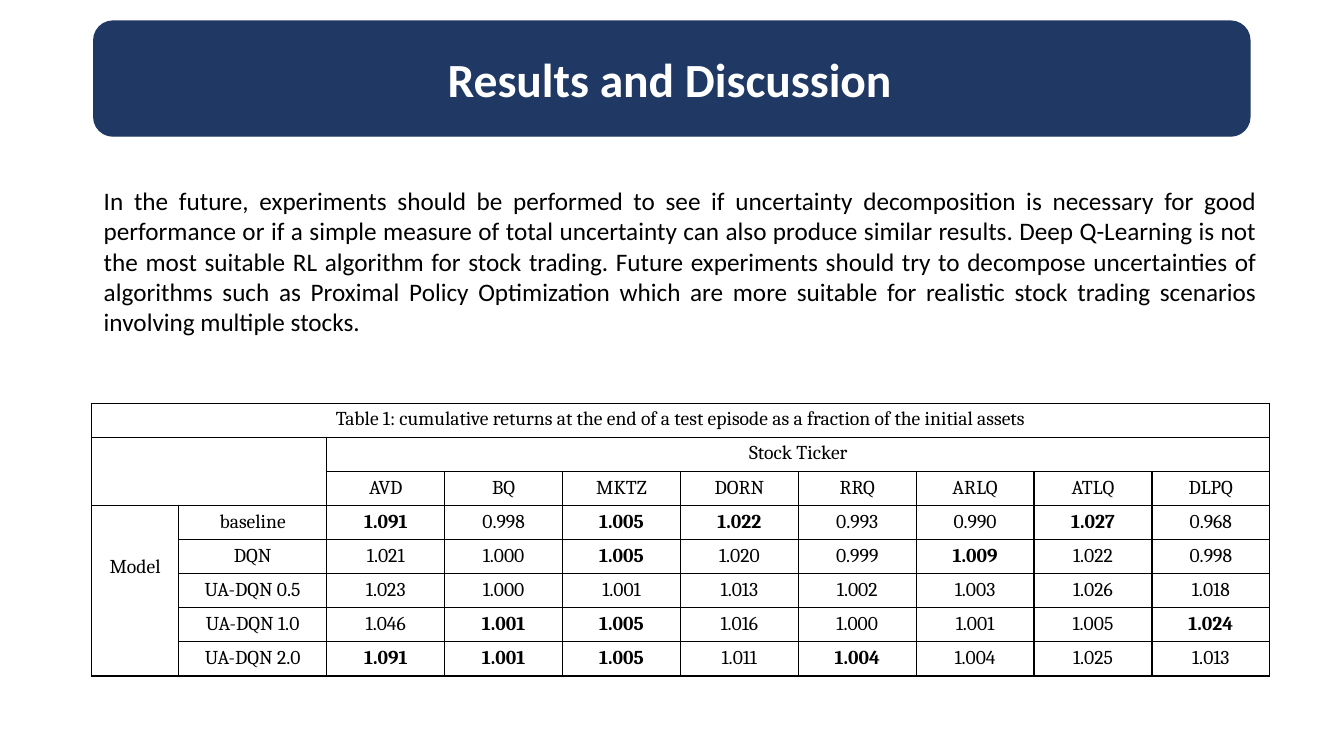
"""Build the results slide with a banner, a paragraph and a table of returns."""
from lxml.etree import SubElement
from pptx import Presentation
from pptx.dml.color import RGBColor
from pptx.enum.shapes import MSO_SHAPE as Shape
from pptx.enum.text import MSO_ANCHOR as Anchor, MSO_AUTO_SIZE as AutoSize, PP_ALIGN as Align
from pptx.oxml.ns import qn
from pptx.util import Pt

NAVY = RGBColor(0x20, 0x38, 0x64)
WHITE = RGBColor(0xFF, 0xFF, 0xFF)
BLACK = RGBColor(0, 0, 0)


def write(frame, text, font="Cambria", size=14, color=BLACK, bold=False, align=Align.CENTER):
    paragraph = frame.paragraphs[0]
    paragraph.alignment = align
    paragraph.line_spacing = 1.0
    run = paragraph.add_run()
    run.text = text
    run.font.name = font
    run.font.size = Pt(size)
    run.font.bold = bold
    run.font.color.rgb = color


def add_borders(cell):
    properties = cell._tc.get_or_add_tcPr()
    for side in ("lnL", "lnR", "lnT", "lnB"):
        line = SubElement(properties, qn(f"a:{side}"), w=str(Pt(1)))
        fill = SubElement(line, qn("a:solidFill"))
        SubElement(fill, qn("a:srgbClr"), val=str(BLACK))


presentation = Presentation()
presentation.slide_width = Pt(960)
presentation.slide_height = Pt(540)
slide = presentation.slides.add_slide(presentation.slide_layouts[5])

banner = slide.shapes.add_shape(Shape.ROUNDED_RECTANGLE, Pt(67), Pt(15.1), Pt(825.8), Pt(82.1))
banner.shadow.inherit = False
banner.fill.solid()
banner.fill.fore_color.rgb = NAVY
banner.line.color.rgb = NAVY
banner.line.width = Pt(1)

title = slide.shapes.title
title.left, title.top, title.width, title.height = Pt(312.5), Pt(32.4), Pt(335.5), Pt(48.2)
title.text_frame.auto_size = AutoSize.NONE
title.text_frame.word_wrap = False
title.text_frame.vertical_anchor = Anchor.TOP
write(title.text_frame, "Results and Discussion", font="Calibri", size=34,
      color=WHITE, bold=True, align=Align.LEFT)
title.element.addprevious(banner.element)

TICKERS = ["AVD", "BQ", "MKTZ", "DORN", "RRQ", "ARLQ", "ATLQ", "DLPQ"]
RETURNS = {
    "baseline": [1.091, 0.998, 1.005, 1.022, 0.993, 0.990, 1.027, 0.968],
    "DQN": [1.021, 1.000, 1.005, 1.020, 0.999, 1.009, 1.022, 0.998],
    "UA-DQN 0.5": [1.023, 1.000, 1.001, 1.013, 1.002, 1.003, 1.026, 1.018],
    "UA-DQN 1.0": [1.046, 1.001, 1.005, 1.016, 1.000, 1.001, 1.005, 1.024],
    "UA-DQN 2.0": [1.091, 1.001, 1.005, 1.011, 1.004, 1.004, 1.025, 1.013],
}
best_returns = [max(column) for column in zip(*RETURNS.values())]

texts = {
    (0, 0): "Table 1: cumulative returns at the end of a test episode as a fraction of the initial assets",
    (1, 2): "Stock Ticker",
    (3, 0): "Model",
}
best_cells = set()
for column, ticker in enumerate(TICKERS, 2):
    texts[2, column] = ticker
for row, (model, values) in enumerate(RETURNS.items(), 3):
    texts[row, 1] = model
    for column, (value, best) in enumerate(zip(values, best_returns), 2):
        texts[row, column] = f"{value:.3f}"
        if value == best:
            best_cells.add((row, column))

row_count, column_count = 3 + len(RETURNS), 2 + len(TICKERS)
table = slide.shapes.add_table(row_count, column_count, Pt(65.5), Pt(288),
                               Pt(841.6), Pt(194.8)).table
table.first_row = False
table.horz_banding = False
for column, width in enumerate([62, 106] + [84.2] * len(TICKERS)):
    table.columns[column].width = Pt(width)
for row in table.rows:
    row.height = Pt(24.35)

for first, last in [((0, 0), (0, 9)), ((1, 0), (2, 1)), ((1, 2), (1, 9)), ((3, 0), (7, 0))]:
    table.cell(*first).merge(table.cell(*last))
for row in range(row_count):
    for column in range(column_count):
        cell = table.cell(row, column)
        add_borders(cell)
        cell.fill.background()
        write(cell.text_frame, texts.get((row, column), ""), bold=(row, column) in best_cells)
table.cell(3, 0).margin_top = Pt(36)

outlook = slide.shapes.add_textbox(Pt(67), Pt(128.9), Pt(838), Pt(159.8))
outlook.text_frame.word_wrap = True
write(outlook.text_frame,
      "In the future, experiments should be performed to see if uncertainty decomposition is "
      "necessary for good performance or if a simple measure of total uncertainty can also "
      "produce similar results. Deep Q-Learning is not the most suitable RL algorithm for stock "
      "trading. Future experiments should try to decompose uncertainties of algorithms such as "
      "Proximal Policy Optimization which are more suitable for realistic stock trading "
      "scenarios involving multiple stocks.",
      font="Calibri", size=18, align=Align.JUSTIFY)

presentation.save("out.pptx")
